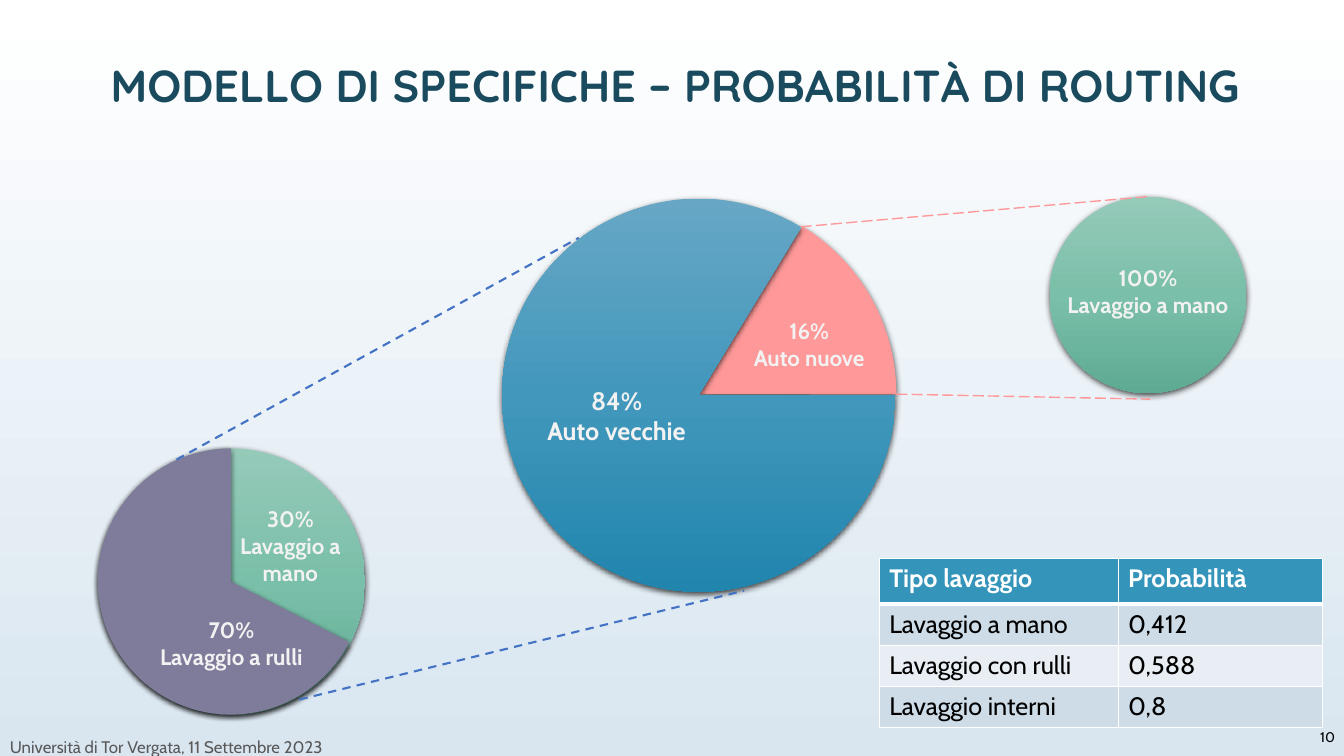
from copy import deepcopy

from lxml.etree import SubElement
from pptx import Presentation
from pptx.dml.color import RGBColor
from pptx.enum.dml import MSO_LINE
from pptx.enum.shapes import MSO_CONNECTOR, MSO_SHAPE
from pptx.enum.text import MSO_ANCHOR, PP_ALIGN
from pptx.oxml.ns import qn
from pptx.util import Inches, Pt

BLACK = RGBColor(0x00, 0x00, 0x00)
WHITE = RGBColor(0xFF, 0xFF, 0xFF)
MIST = RGBColor(0xD9, 0xE6, 0xF0)
NAVY = RGBColor(0x1A, 0x4A, 0x5D)
GRAY = RGBColor(0x59, 0x59, 0x59)
LABEL = RGBColor(0xF2, 0xF2, 0xF2)
PINK = RGBColor(0xFF, 0x99, 0x99)
PURPLE = RGBColor(0x7F, 0x7B, 0x9A)
BLUE_DASH = RGBColor(0x44, 0x72, 0xC4)
GREENS = [RGBColor(0x95, 0xCA, 0xB9), RGBColor(0x7A, 0xBF, 0xA9), RGBColor(0x5F, 0xAA, 0x93)]
BLUES = [RGBColor(0x67, 0xA7, 0xC5), RGBColor(0x42, 0x97, 0xBC), RGBColor(0x21, 0x85, 0xAD)]
HEADER = RGBColor(0x34, 0x94, 0xBA)
BANDS = [RGBColor(0xCE, 0xDC, 0xE7), RGBColor(0xE8, 0xEE, 0xF3)]

ROUTING = [
    ("Tipo lavaggio", "Probabilità"),
    ("Lavaggio a mano", "0,412"),
    ("Lavaggio con rulli", "0,588"),
    ("Lavaggio interni", "0,8"),
]


def paint(fill, element, colors):
    """Fill with one colour, or with evenly spaced colours from top to bottom."""
    if len(colors) == 1:
        fill.solid()
        fill.fore_color.rgb = colors[0]
        return
    fill.gradient()
    fill.gradient_angle = 270
    stop_list = element.find(".//" + qn("a:gsLst"))
    while len(stop_list) < len(colors):
        stop_list.insert(1, deepcopy(stop_list[0]))
    for index, (stop, color) in enumerate(zip(fill.gradient_stops, colors)):
        stop.color.rgb = color
        stop.position = index / (len(colors) - 1)


def add_text(page, box, lines, size, color, font="Cabin", bold=False,
             align=PP_ALIGN.LEFT, anchor=MSO_ANCHOR.TOP, spacing=None):
    """Place a text box with one paragraph per line."""
    frame = page.shapes.add_textbox(*map(Inches, box)).text_frame
    frame.word_wrap = True
    frame.vertical_anchor = anchor
    for index, line in enumerate(lines):
        para = frame.paragraphs[0] if index == 0 else frame.add_paragraph()
        para.alignment = align
        para.line_spacing = spacing
        span = para.add_run()
        span.text = line
        span.font.name = font
        span.font.size = Pt(size)
        span.font.bold = bold
        span.font.color.rgb = color


def add_label(page, box, lines, size=16):
    """Place a centred slice label."""
    add_text(page, box, lines, size, LABEL, bold=True, align=PP_ALIGN.CENTER)


def add_disc(page, left, top, size, colors, angles=None):
    """Draw a shadowed circle, or a pie slice between two angles."""
    kind = MSO_SHAPE.CHORD if angles is None else MSO_SHAPE.PIE
    kind = MSO_SHAPE.OVAL if angles is None else kind
    disc = page.shapes.add_shape(kind, *map(Inches, (left, top, size, size)))
    for index, angle in enumerate(angles or ()):
        disc.adjustments[index] = angle
    paint(disc.fill, disc.element, colors)
    disc.line.fill.background()
    disc.shadow.inherit = False
    effects = disc.element.spPr.find(qn("a:effectLst"))
    shadow = SubElement(effects, qn("a:outerShdw"), blurRad=str(Pt(4.5)), dist=str(Pt(1.5)),
                        dir="5400000", algn="ctr", rotWithShape="0")
    black = SubElement(shadow, qn("a:srgbClr"), val="000000")
    SubElement(black, qn("a:alpha"), val="69000")


def add_dashes(page, start, end, color, width, dash):
    """Draw a dashed line between two points."""
    line = page.shapes.add_connector(MSO_CONNECTOR.STRAIGHT, *map(Inches, start + end))
    line.line.color.rgb = color
    line.line.width = Pt(width)
    line.line.dash_style = dash
    SubElement(line.element.spPr, qn("a:effectLst"))


def add_car_pie(page, left, top, size):
    """Draw the split between old and new cars."""
    add_disc(page, left + 0.01, top - 0.01, size, [PINK], (180.92, 0.06))
    add_disc(page, left, top, size, BLUES, (0, 180.85))
    add_label(page, (left + 0.16, top + 1.8, 1.95, 0.71), ["84%", "Auto vecchie"], 18)
    add_label(page, (left + 2.07, top + 1.13, 1.95, 0.64), ["16%", "Auto nuove"])


def add_new_car_pie(page, left, top, size):
    """Draw the single wash type of new cars."""
    add_disc(page, left, top, size, GREENS)
    add_label(page, (left, top + 0.62, size, 0.64), ["100%", "Lavaggio a mano"])


def add_old_car_pie(page, left, top, size):
    """Draw the wash types of old cars."""
    add_disc(page, left + 0.01, top, size, GREENS, (16.24, 16.03))
    add_disc(page, left, top, size, [PURPLE], (16.24, 162))
    add_label(page, (left + 0.35, top + 1.61, 1.95, 0.64), ["70%", "Lavaggio a rulli"])
    add_label(page, (left + 1.18, top + 0.51, 1.46, 0.91), ["30%", "Lavaggio a", "mano"])


def add_borders(cell, bottom):
    """Give a cell white borders with its own bottom width."""
    properties = cell._tc.get_or_add_tcPr()
    for index, (side, width) in enumerate((("L", 1), ("R", 1), ("T", 1), ("B", bottom))):
        border = SubElement(properties, qn("a:ln" + side), w=str(Pt(width)))
        fill = SubElement(border, qn("a:solidFill"))
        SubElement(fill, qn("a:srgbClr"), val=str(WHITE))
        properties.insert(index, border)


def add_routing_table(page, left, top, widths, heights):
    """Build the table of wash probabilities."""
    box = map(Inches, (left, top, sum(widths), sum(heights)))
    table = page.shapes.add_table(len(heights), len(widths), *box).table
    for column, width in zip(table.columns, widths):
        column.width = Inches(width)
    for row_index, height in enumerate(heights):
        table.rows[row_index].height = Inches(height)
        is_header = row_index == 0
        for column_index, text in enumerate(ROUTING[row_index]):
            cell = table.cell(row_index, column_index)
            cell.fill.solid()
            cell.fill.fore_color.rgb = HEADER if is_header else BANDS[(row_index - 1) % 2]
            add_borders(cell, 3 if is_header else 1)
            span = cell.text_frame.paragraphs[0].add_run()
            span.text = text
            span.font.name = "Cabin"
            span.font.size = Pt(18)
            span.font.bold = is_header
            span.font.color.rgb = WHITE if is_header else BLACK


def add_footer(page, top):
    """Place the event line and the slide number."""
    add_text(page, (12.5, top - 0.03, 0.84, 0.4), ["10"], 10, BLACK,
             align=PP_ALIGN.RIGHT, anchor=MSO_ANCHOR.MIDDLE)
    add_text(page, (0, top, 4.06, 0.54), ["Università di Tor Vergata, 11 Settembre 2023"], 12,
             GRAY, anchor=MSO_ANCHOR.MIDDLE)


def main():
    """Build the slide and save it."""
    deck = Presentation()
    deck.slide_width, deck.slide_height = Inches(13.33), Inches(7.5)
    page = deck.slides.add_slide(deck.slide_layouts[6])
    paint(page.background.fill, page.element, [WHITE, MIST])
    add_text(page, (1, 0, 12.33, 1.75), ["MODELLO DI SPECIFICHE – PROBABILITÀ DI ROUTING"], 32,
             NAVY, font="Quicksand", bold=True, anchor=MSO_ANCHOR.MIDDLE, spacing=0.9)
    add_car_pie(page, 4.98, 1.97, 3.9)
    add_new_car_pie(page, 10.41, 1.95, 1.95)
    for start, end in (((7.94, 2.25), (11.39, 1.95)), ((8.89, 3.91), (11.41, 3.96))):
        add_dashes(page, start, end, PINK, 1, MSO_LINE.LONG_DASH)
    add_old_car_pie(page, 0.97, 4.45, 2.64)
    for start, end in (((1.75, 4.56), (5.74, 2.36)), ((2.97, 6.94), (7.38, 5.86))):
        add_dashes(page, start, end, BLUE_DASH, 1.5, MSO_LINE.DASH)
    add_routing_table(page, 8.72, 5.54, [2.37, 2.03], [0.45, 0.41, 0.41, 0.41])
    add_footer(page, 7.14)
    deck.save("out.pptx")


if __name__ == "__main__":
    main()
